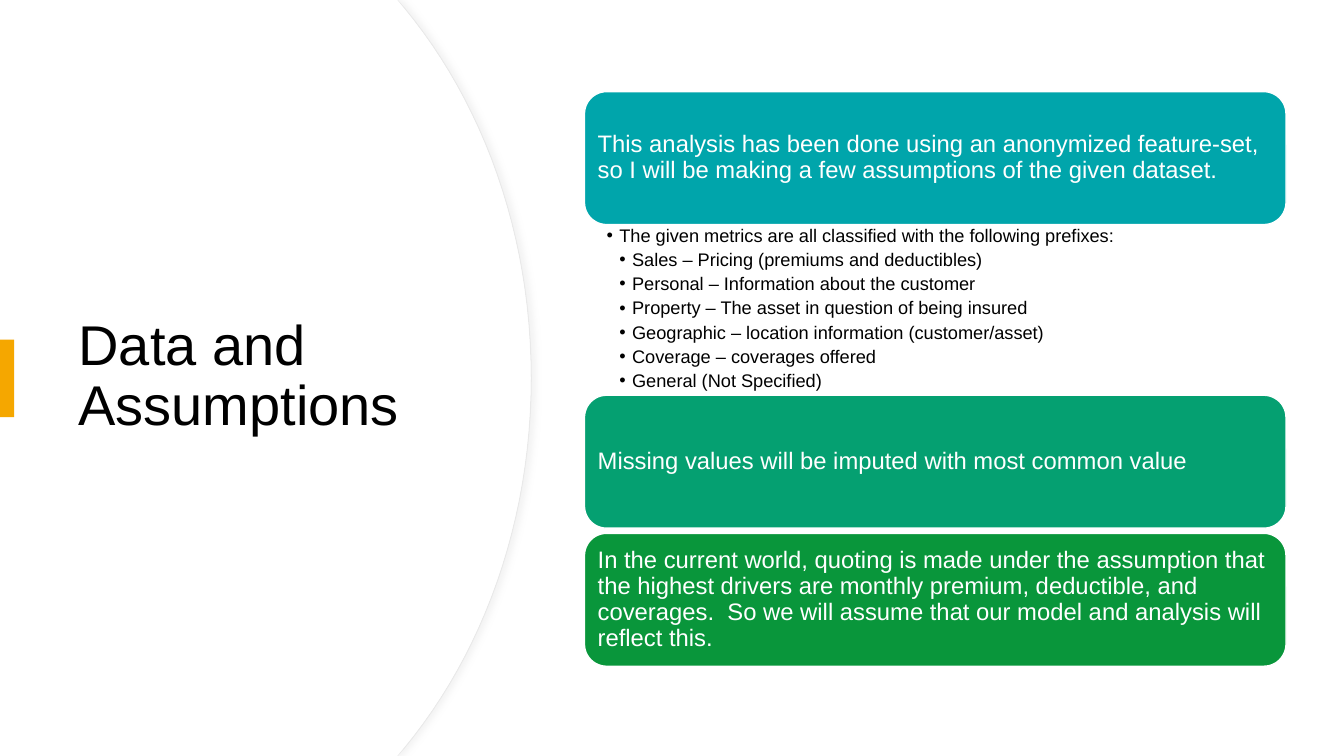
from dataclasses import dataclass

from lxml.etree import SubElement
from pptx import Presentation
from pptx.dml.color import RGBColor as Rgb
from pptx.enum.shapes import MSO_SHAPE as Shape
from pptx.enum.text import MSO_ANCHOR as Anchor, MSO_AUTO_SIZE as AutoSize, PP_ALIGN as Align
from pptx.oxml.ns import qn
from pptx.util import Cm, Pt


@dataclass(frozen=True)
class Theme:
    font: str = "Arial"
    title_size: float = 40
    card_size: float = 17
    list_size: float = 13
    text: str = "000000"
    paper: str = "FFFFFF"
    edge: str = "E9E9E9"
    shade: str = "D9D9D9"
    accent: str = "F5A700"
    teal: str = "00A5AB"
    jade: str = "05A071"
    green: str = "09963B"


class SlideBuilder:
    def __init__(self, page, theme):
        self.page = page
        self.theme = theme

    def paint(self, shape, fill, line=None, width=1):
        shape.shadow.inherit = False
        shape.fill.solid()
        shape.fill.fore_color.rgb = Rgb.from_string(fill)
        if line:
            shape.line.color.rgb = Rgb.from_string(line)
            shape.line.width = Pt(width)
        else:
            shape.line.fill.background()

    def add_text(self, para, text, size, color):
        para.alignment = Align.LEFT
        para.line_spacing = 0.9
        para.space_before = Pt(0)
        span = para.add_run()
        span.text = text
        span.font.name = self.theme.font
        span.font.size = Pt(size)
        span.font.color.rgb = Rgb.from_string(color)

    def frame(self, box, anchor, insets):
        frame = box.text_frame
        frame.word_wrap = True
        frame.auto_size = AutoSize.NONE
        frame.vertical_anchor = anchor
        (frame.margin_left, frame.margin_top,
         frame.margin_right, frame.margin_bottom) = map(Cm, insets)
        return frame

    def place(self, box, left, top, width, height):
        box.left, box.top, box.width, box.height = map(Cm, (left, top, width, height))

    def curved_panel(self, shift=0, line=None):
        """White panel whose right side bulges out, built from one Bezier and its mirror."""
        curve = ((10.19, 0.2), (12.17, 2.59), (13.39, 5.89), (13.39, 9.53))
        steps = 24
        upper = [(10.01, 0)]
        for step in range(steps + 1):
            t = step / steps
            weights = ((1 - t) ** 3, 3 * t * (1 - t) ** 2, 3 * t * t * (1 - t), t ** 3)
            x, y = (sum(w * p[axis] for w, p in zip(weights, curve)) for axis in (0, 1))
            upper.append((x - shift, y))
        lower = [(x, 19.05 - y) for x, y in reversed(upper[:-1])]
        builder = self.page.shapes.build_freeform(0, 0)
        builder.add_line_segments([(Cm(x), Cm(y)) for x, y in upper + lower + [(0, 19.05)]])
        panel = builder.convert_to_shape()
        self.paint(panel, self.theme.paper, line, 0.75)
        return panel

    def soft_shadow(self, shape):
        effects = shape.element.spPr.find(qn("a:effectLst"))
        shadow = SubElement(effects, qn("a:outerShdw"), blurRad=str(Pt(4)),
                            dist=str(Pt(3)), dir="0", rotWithShape="0")
        color = SubElement(shadow, qn("a:srgbClr"), val=self.theme.shade)
        SubElement(color, qn("a:alpha"), val="30000")

    def title(self, text, *area):
        box = self.page.shapes.title
        box.element.getparent().append(box.element)  # in front of the panel
        self.place(box, *area)
        frame = self.frame(box, Anchor.MIDDLE, (0.25, 0.13, 0.25, 0.13))
        self.add_text(frame.paragraphs[0], text, self.theme.title_size, self.theme.text)

    def bar(self, *area):
        bar = self.page.shapes.add_shape(Shape.RECTANGLE, *map(Cm, area))
        self.paint(bar, self.theme.accent)

    def card(self, text, fill, *area):
        card = self.page.shapes.add_shape(Shape.ROUNDED_RECTANGLE, *map(Cm, area))
        self.paint(card, fill, self.theme.paper)
        frame = self.frame(card, Anchor.MIDDLE, (0.17,) * 4)
        self.add_text(frame.paragraphs[0], text, self.theme.card_size, self.theme.paper)

    def bullets(self, items, *area):
        box = self.page.placeholders[1]
        self.place(box, *area)
        frame = self.frame(box, Anchor.TOP, (0.56, 0.05, 0.32, 0.05))
        for index, (level, text) in enumerate(items):
            para = frame.add_paragraph() if index else frame.paragraphs[0]
            para.level = level
            props = para._p.get_or_add_pPr()
            props.set("marL", str(Cm(0.32 * level)))
            props.set("indent", str(Cm(-0.32)))
            SubElement(props, qn("a:buFont"), typeface=self.theme.font)
            SubElement(props, qn("a:buChar"), char="•")
            para.space_after = Pt(3.2)
            self.add_text(para, text, self.theme.list_size, self.theme.text)


def main():
    deck = Presentation()
    deck.slide_width, deck.slide_height = Cm(33.87), Cm(19.05)
    theme = Theme()
    slide = SlideBuilder(deck.slides.add_slide(deck.slide_layouts[1]), theme)

    # Left side: curved panel, title and accent bar
    slide.soft_shadow(slide.curved_panel(line=theme.edge))
    slide.curved_panel(shift=0.02)
    slide.title("Data and Assumptions", 1.73, 3.23, 10.01, 12.57)
    slide.bar(0, 8.56, 0.36, 1.95)

    # Right side: cards and list stacked downwards
    left, width, card_height, list_height, gap = 14.73, 17.68, 3.35, 4.3, 0.13
    top = 2.31
    slide.card("This analysis has been done using an anonymized feature-set, "
               "so I will be making a few assumptions of the given dataset.",
               theme.teal, left, top, width, card_height)
    top += card_height
    slide.bullets([
        (1, "The given metrics are all classified with the following prefixes:"),
        (2, "Sales – Pricing (premiums and deductibles)"),
        (2, "Personal – Information about the customer"),
        (2, "Property – The asset in question of being insured"),
        (2, "Geographic – location information (customer/asset)"),
        (2, "Coverage – coverages offered"),
        (2, "General (Not Specified)"),
    ], left, top, width, list_height)
    top += list_height
    slide.card("Missing values will be imputed with most common value",
               theme.jade, left, top, width, card_height)
    top += card_height + gap
    slide.card("In the current world, quoting is made under the assumption that the "
               "highest drivers are monthly premium, deductible, and coverages.  So we "
               "will assume that our model and analysis will reflect this.",
               theme.green, left, top, width, card_height)

    deck.save("out.pptx")


if __name__ == "__main__":
    main()
